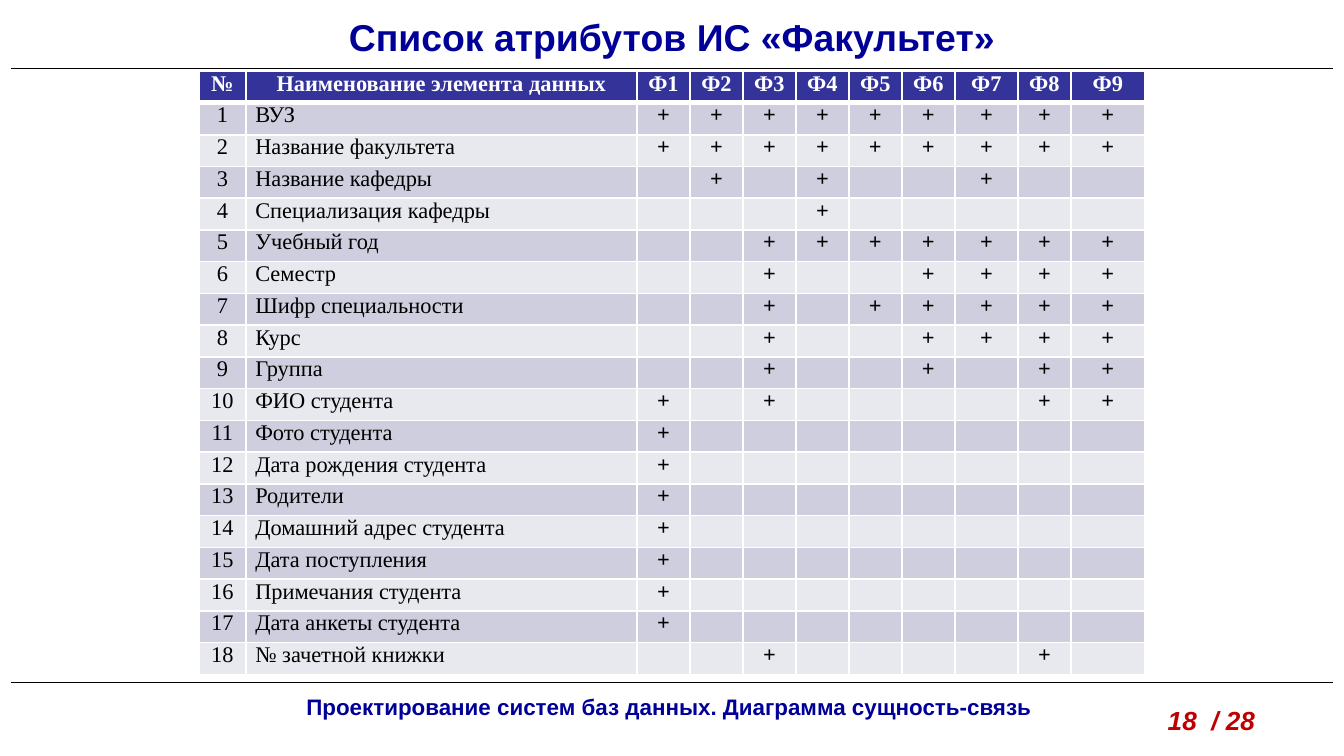
from lxml import etree
from pptx import Presentation
from pptx.dml.color import RGBColor
from pptx.enum.shapes import MSO_CONNECTOR
from pptx.enum.text import MSO_ANCHOR, PP_ALIGN
from pptx.oxml.ns import qn
from pptx.util import Inches, Pt

LEFT, CENTER = PP_ALIGN.LEFT, PP_ALIGN.CENTER
MIDDLE = MSO_ANCHOR.MIDDLE
STRAIGHT = MSO_CONNECTOR.STRAIGHT
TITLE_ONLY = 5

WIDTH = 10
HEIGHT = WIDTH * 9 / 16
MARGIN = 0.08
TITLE_RULE, FOOTER_RULE = 0.51, 5.08
TABLE_LEFT, TABLE_TOP, TABLE_WIDTH, TABLE_HEIGHT = 1.48, 0.53, 7.04, 4.49
NUMBER_WIDTH, NAME_WIDTH, FORM_7_WIDTH, FORM_9_WIDTH = 0.35, 2.91, 0.47, 0.55
# The other seven form columns share the remaining width equally
FORM_WIDTH = (TABLE_WIDTH - NUMBER_WIDTH - NAME_WIDTH
              - FORM_7_WIDTH - FORM_9_WIDTH) / 7
COLUMN_WIDTHS = [NUMBER_WIDTH, NAME_WIDTH] + [FORM_WIDTH] * 6 + [
    FORM_7_WIDTH, FORM_WIDTH, FORM_9_WIDTH]

COLORS = {
    "navy": "000099",
    "red": "C00000",
    "black": "000000",
    "white": "FFFFFF",
    "header": "333399",
    "odd": "CECEDE",
    "even": "E8E8EF",
}

FORMS = range(1, 10)
# Each data element with the numbers of the forms that contain it
ELEMENTS = [
    ("ВУЗ", "123456789"),
    ("Название факультета", "123456789"),
    ("Название кафедры", "247"),
    ("Специализация кафедры", "4"),
    ("Учебный год", "3456789"),
    ("Семестр", "36789"),
    ("Шифр специальности", "356789"),
    ("Курс", "36789"),
    ("Группа", "3689"),
    ("ФИО студента", "1389"),
    ("Фото студента", "1"),
    ("Дата рождения студента", "1"),
    ("Родители", "1"),
    ("Домашний адрес студента", "1"),
    ("Дата поступления", "1"),
    ("Примечания студента", "1"),
    ("Дата анкеты студента", "1"),
    ("№ зачетной книжки", "38"),
]


def rgb(name):
    return RGBColor.from_string(COLORS[name])


def write(frame, text, size=12, font="Arial", color="navy", bold=True,
          italic=False, align=CENTER):
    para = frame.paragraphs[0]
    para.alignment = align
    if not text:
        # An empty paragraph takes its line height from its end mark
        etree.SubElement(para._p, qn("a:endParaRPr"), sz=str(size * 100))
        return
    span = para.add_run()
    span.text = text
    span.font.size = Pt(size)
    span.font.name = font
    span.font.bold = bold
    span.font.italic = italic
    span.font.color.rgb = rgb(color)


def place(shape, left, top, width, height):
    shape.left, shape.top = Inches(left), Inches(top)
    shape.width, shape.height = Inches(width), Inches(height)


def add_title(page, text):
    title = page.shapes.title
    place(title, 0, 0.06, WIDTH, 0.45)
    title.text_frame.vertical_anchor = MIDDLE
    title.text_frame.margin_bottom = Inches(0.08)
    write(title.text_frame, text, size=20)


def add_label(page, text, left, top, width, height, **style):
    box = page.shapes.add_textbox(0, 0, 0, 0)
    place(box, left, top, width, height)
    box.text_frame.word_wrap = True
    write(box.text_frame, text, **style)


def add_rule(page, top):
    rule = page.shapes.add_connector(
        STRAIGHT, Inches(MARGIN), Inches(top),
        Inches(WIDTH - MARGIN), Inches(top))
    rule.line.color.rgb = rgb("black")
    rule.line.width = Pt(0.75)
    etree.SubElement(rule._element.spPr, qn("a:effectLst"))


def add_border(cell, side, width):
    line = etree.SubElement(cell._tc.get_or_add_tcPr(), qn(f"a:ln{side}"),
                            w=str(Pt(width)))
    fill = etree.SubElement(line, qn("a:solidFill"))
    etree.SubElement(fill, qn("a:srgbClr"), val=COLORS["white"])


def format_cell(cell, text, fill, heavy_side="", **style):
    """Fill one cell; heavy_side is the side that touches the heavy header line."""
    cell.margin_left = cell.margin_right = Inches(0.07)
    cell.margin_top = cell.margin_bottom = 0
    for side in "LRTB":
        add_border(cell, side, 3 if side == heavy_side else 1)
    cell.fill.solid()
    cell.fill.fore_color.rgb = rgb(fill)
    write(cell.text_frame, text, font="Times New Roman", **style)


def table_rows():
    yield ["№", "Наименование элемента данных"] + [f"Ф{form}" for form in FORMS]
    for number, (name, used) in enumerate(ELEMENTS, start=1):
        marks = ["+" if str(form) in used else "" for form in FORMS]
        yield [str(number), name] + marks


def add_attribute_table(page):
    rows = list(table_rows())
    table = page.shapes.add_table(
        len(rows), len(COLUMN_WIDTHS), Inches(TABLE_LEFT), Inches(TABLE_TOP),
        Inches(TABLE_WIDTH), Inches(TABLE_HEIGHT)).table
    for column, width in zip(table.columns, COLUMN_WIDTHS):
        column.width = Inches(width)
    for r, texts in enumerate(rows):
        table.rows[r].height = Inches(TABLE_HEIGHT / len(rows))
        for c, text in enumerate(texts):
            cell = table.cell(r, c)
            if r == 0:
                format_cell(cell, text, "header", "B", color="white")
            else:
                format_cell(cell, text, "odd" if r % 2 else "even",
                            "T" if r == 1 else "", color="black",
                            bold=c > 1, align=LEFT if c == 1 else CENTER)


def main():
    deck = Presentation()
    deck.slide_width, deck.slide_height = Inches(WIDTH), Inches(HEIGHT)
    page = deck.slides.add_slide(deck.slide_layouts[TITLE_ONLY])
    add_label(page, "Проектирование систем баз данных. Диаграмма сущность-связь",
              1.25, 5.11, 7.46, 0.3)
    for top in (FOOTER_RULE, TITLE_RULE):
        add_rule(page, top)
    add_label(page, "18  / 28", 8.59, 5.19, 1.02, 0.34,
              size=14, color="red", italic=True, align=LEFT)
    add_title(page, "Список атрибутов ИС «Факультет»")
    add_attribute_table(page)
    deck.save("out.pptx")


if __name__ == "__main__":
    main()
